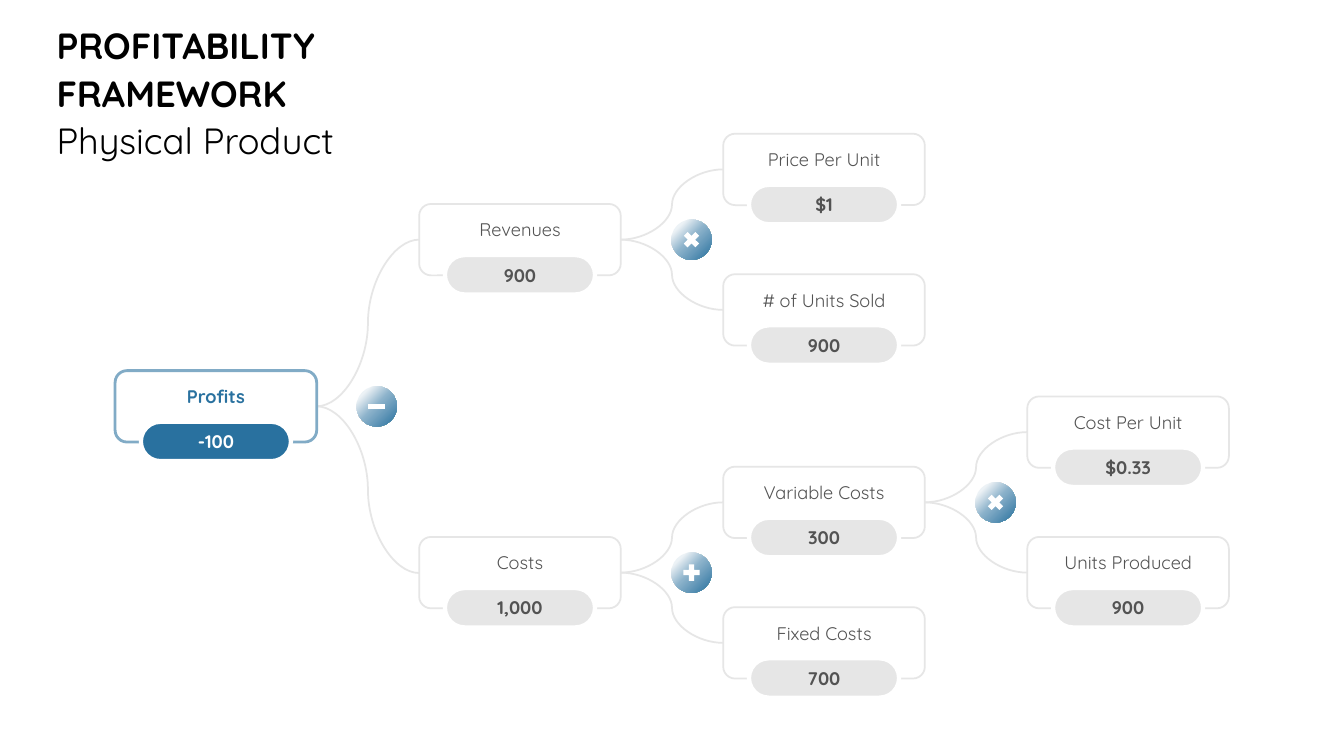
"""Build the profitability framework slide as a tree of value boxes."""
from lxml import etree
from pptx import Presentation
from pptx import util as u
from pptx.dml.color import RGBColor
from pptx.enum import shapes, text
from pptx.oxml import parse_xml
from pptx.oxml.ns import nsdecls, qn

FONT = "Quicksand"
BLUE, PALE, GREY, INK, WHITE = "29719F", "81ABC6", "E6E6E6", "535353", "FFFFFF"
WIDE, HIGH, STEP, LEFT = 5.08, 1.8, 7.66, 2.9
DISC, SIGN = 1.02, 0.56
KIND = shapes.MSO_SHAPE
STOPS = [(0, "2A729F"), (51, "8BB2CB"), (81, "ECF2F6")]


def rgb(code):
    return RGBColor.from_string(code)


def put(kind, x, y, w, h, fill, edge=None, pts=0):
    shape = slide.shapes.add_shape(kind, u.Cm(x), u.Cm(y), u.Cm(w), u.Cm(h))
    shape.shadow.inherit = False
    shape.fill.solid()
    shape.fill.fore_color.rgb = rgb(fill)
    if edge:
        shape.line.color.rgb = rgb(edge)
        shape.line.width = u.Pt(pts)
    else:
        shape.line.fill.background()
    return shape


deck = Presentation()
deck.slide_width, deck.slide_height = u.Inches(13.33), u.Inches(7.5)
slide = deck.slides.add_slide(deck.slide_layouts[5])

title = slide.shapes.title
title.left, title.top, title.width, title.height = (
    u.Cm(1.17), u.Cm(1.55), u.Cm(12.78), u.Cm(1.47))
frame = title.text_frame
frame.text = "PROFITABILITY FRAMEWORK\nPhysical Product"
frame.word_wrap = True
frame.auto_size = text.MSO_AUTO_SIZE.NONE
frame.vertical_anchor = text.MSO_ANCHOR.MIDDLE
for para, bold in zip(frame.paragraphs, (True, False)):
    para.alignment = text.PP_ALIGN.LEFT
    para.line_spacing = u.Pt(34)
    para.space_before = u.Pt(0)
    font = para.runs[0].font
    font.name, font.size, font.bold = FONT, u.Pt(26), bold
    font.color.rgb = rgb("000000")

# name, value, column, vertical centre
nodes = [
    ("Profits", "-100", 0, 10.24),
    ("Revenues", "900", 1, 6.04),
    ("# of Units Sold", "900", 2, 7.81),
    ("Price Per Unit", "$1", 2, 4.27),
    ("Variable Costs", "300", 2, 12.66),
    ("Fixed Costs", "700", 2, 16.2),
    ("Cost Per Unit", "$0.33", 3, 10.89),
    ("Units Produced", "900", 3, 14.43),
    ("Costs", "1,000", 1, 14.43),
]
# column, centre, rise to each child, gap before the disc, sign
forks = [
    (0, 10.24, 4.2, 1.0, KIND.MATH_MINUS),
    (1, 14.43, 1.77, 1.27, KIND.MATH_PLUS),
    (1, 6.04, 1.77, 1.27, KIND.MATH_MULTIPLY),
    (2, 12.66, 1.77, 1.27, KIND.MATH_MULTIPLY),
]

for col, mid, rise, gap, sign in forks:
    x = LEFT + STEP * col + WIDE
    for end in (mid - rise, mid + rise):
        curve = slide.shapes.add_connector(
            shapes.MSO_CONNECTOR.CURVE,
            u.Cm(x), u.Cm(mid), u.Cm(x + STEP - WIDE), u.Cm(end))
        curve.line.color.rgb = rgb(GREY)
        curve.line.width = u.Pt(1.25)
        etree.SubElement(curve._element.spPr, qn("a:effectLst"))

for name, value, col, mid in nodes:
    x, y, root = LEFT + STEP * col, mid - HIGH / 2, col == 0
    box = put(KIND.ROUNDED_RECTANGLE, x, y, WIDE, HIGH, WHITE,
              PALE if root else GREY, 2 if root else 1.25)
    pill = put(KIND.ROUNDED_RECTANGLE, x + 0.65, y + 1.29, 3.78, 0.99,
               BLUE if root else GREY, WHITE, 3)
    pill.adjustments[0] = 0.5
    for shape, label, ink, bold, top, foot in (
            (box, name, BLUE if root else INK, root, 0.13, 0.64),
            (pill, value, WHITE if root else INK, True, 0.25, 0.25)):
        frame = shape.text_frame
        frame.text = label
        frame.word_wrap = True
        frame.vertical_anchor = text.MSO_ANCHOR.MIDDLE
        frame.margin_left = frame.margin_right = u.Cm(0.13)
        frame.margin_top, frame.margin_bottom = u.Cm(top), u.Cm(foot)
        para = frame.paragraphs[0]
        para.alignment = text.PP_ALIGN.CENTER
        font = para.runs[0].font
        font.name, font.size, font.bold = FONT, u.Pt(13), bold
        font.color.rgb = rgb(ink)

stops = "".join(f'<a:gs pos="{pos * 1000}"><a:srgbClr val="{code}"/></a:gs>'
                for pos, code in STOPS)
for col, mid, rise, gap, sign in forks:
    x, y = LEFT + STEP * col + WIDE + gap, mid - DISC / 2
    disc = put(KIND.OVAL, x, y, DISC, DISC, BLUE)
    props = disc._element.spPr
    props.replace(props.find(qn("a:solidFill")), parse_xml(
        f'<a:gradFill {nsdecls("a")}><a:gsLst>{stops}</a:gsLst>'
        '<a:path path="circle"><a:fillToRect l="100000" t="100000"/></a:path>'
        '</a:gradFill>'))
    inset = (DISC - SIGN) / 2
    put(sign, x + inset, y + inset, SIGN, SIGN, WHITE)

deck.save("out.pptx")
